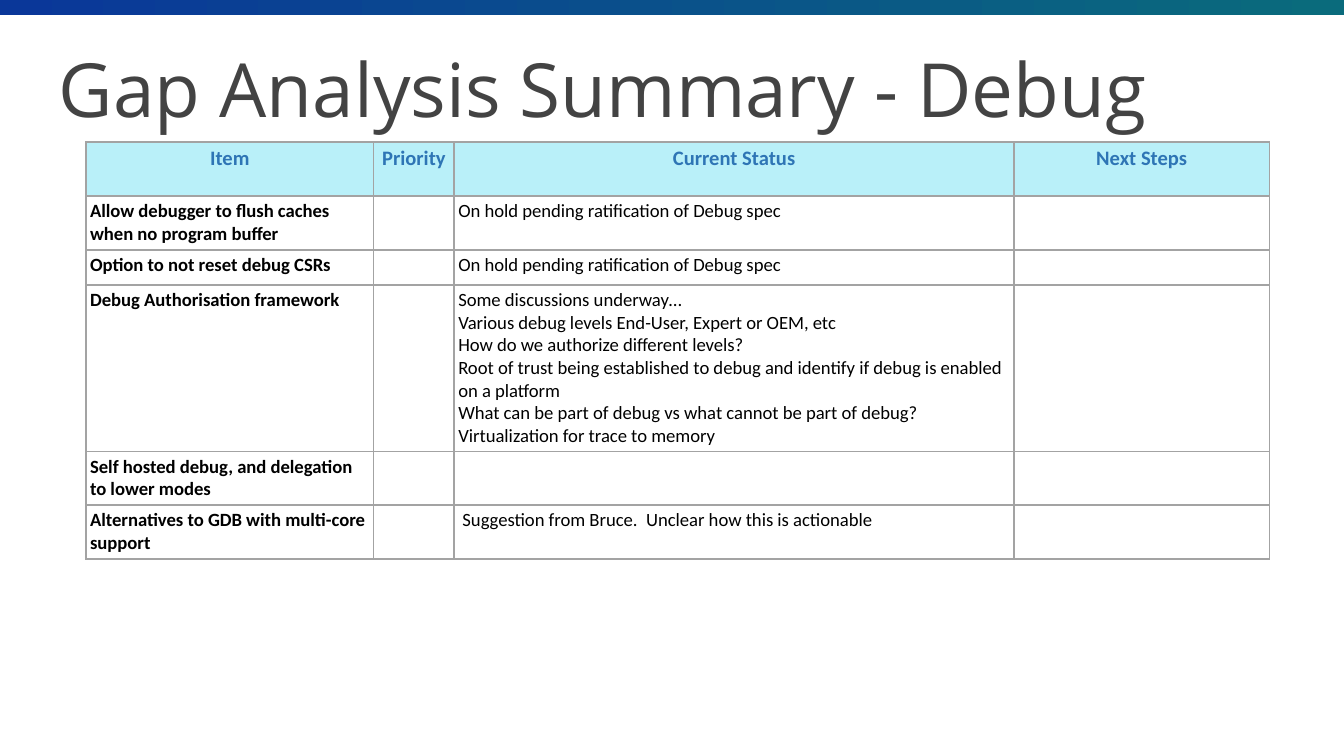
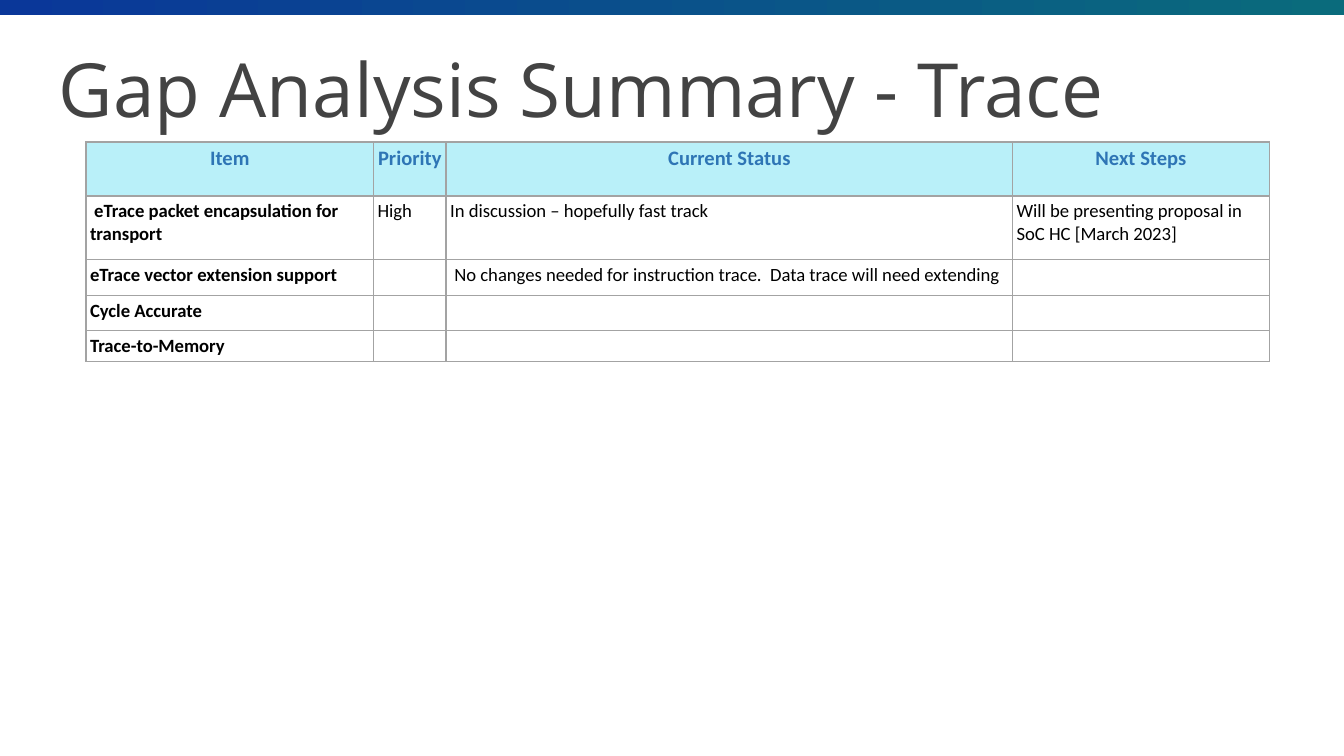
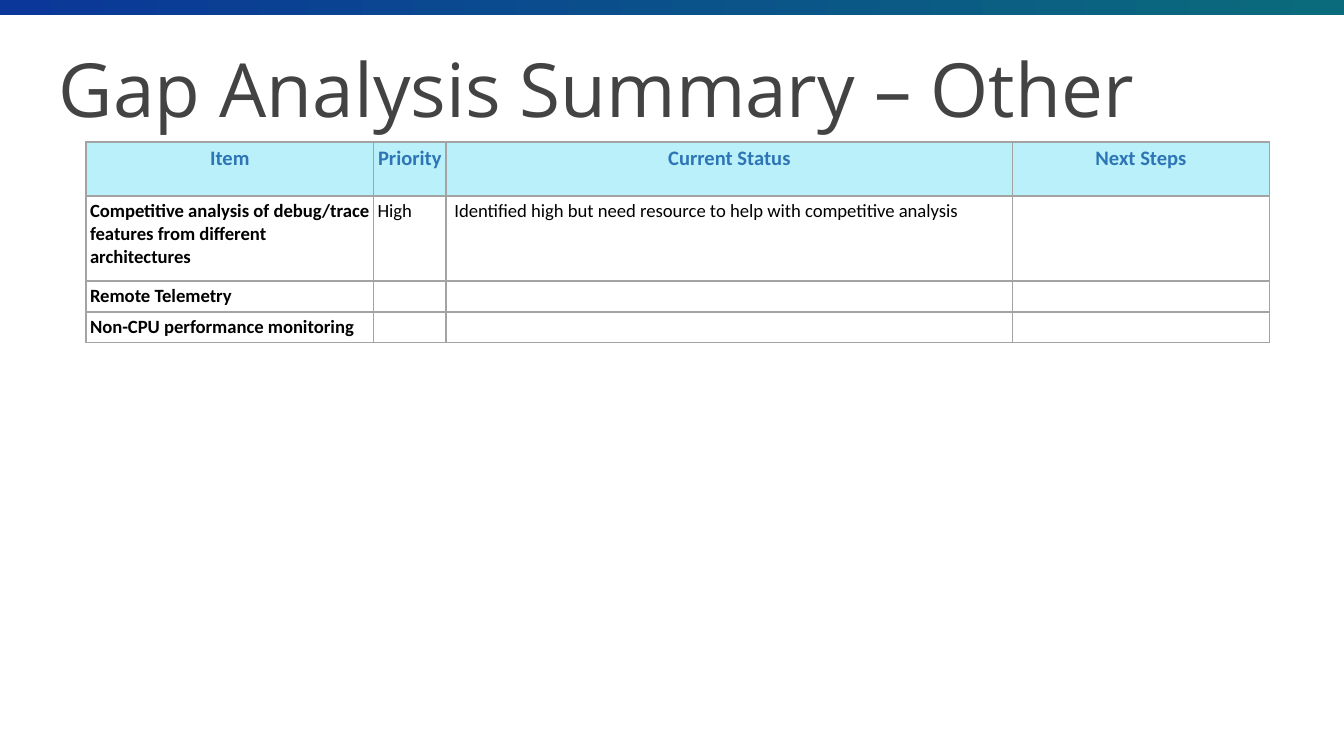
import pptx
import pptx.dml.color
import pptx.enum.shapes
import pptx.enum.text
import pptx.oxml
import pptx.oxml.ns
import pptx.util

# The grid: one column and one row are each a tenth of an inch
COLUMNS, ROWS = 100, 56.25

HEADINGS = ["Item", "Priority", "Current Status", "Next Steps"]
HEADING_HEIGHT = 4.05
WIDE_PRIORITY = [21.4, 6, 41.65, 19]
NARROW_PRIORITY = [21.4, 5.4, 42.15, 19.1]


def grid(count):
    return pptx.util.Inches(count / 10)


def color(value):
    return pptx.dml.color.RGBColor.from_string(value)


class GapDeck:
    """Holds the shared style and the slide being built."""

    BAND_COLORS = ["0A3799", "0A6B7C"]
    TITLE_COLOR = "434343"
    HEADING_COLOR, HEADING_FILL = "2E75B5", "B9F0F9"
    TEXT_COLOR, BORDER_COLOR = "000000", "A3A3A3"
    TITLE_FONT, TABLE_FONT = "Open Sans", "Calibri"
    TITLE_SIZE, HEADING_SIZE, TEXT_SIZE = 40, 11, 10

    def __init__(self):
        self.deck = pptx.Presentation()
        self.deck.slide_width = grid(COLUMNS)
        self.deck.slide_height = grid(ROWS)
        self.page = None

    def add_page(self, title):
        self.page = self.deck.slides.add_slide(self.deck.slide_layouts[6])
        self.add_band()
        self.add_title(title)

    def add_band(self):
        band = self.page.shapes.add_shape(
            pptx.enum.shapes.MSO_SHAPE.RECTANGLE, 0, 0, grid(COLUMNS), grid(1.1))
        band.shadow.inherit = False
        band.line.fill.background()
        band.fill.gradient()
        band.fill.gradient_angle = 0
        for stop, value in zip(band.fill.gradient_stops, self.BAND_COLORS):
            stop.color.rgb = color(value)

    def add_title(self, text):
        box = self.page.shapes.add_textbox(grid(3.4), grid(2.4), grid(93.2), grid(8.2))
        frame = box.text_frame
        frame.word_wrap = True
        frame.vertical_anchor = pptx.enum.text.MSO_ANCHOR.MIDDLE
        frame.margin_left = frame.margin_right = grid(1)
        frame.margin_top = frame.margin_bottom = grid(1)
        self.add_span(frame.paragraphs[0], text, self.TITLE_FONT,
                      self.TITLE_SIZE, self.TITLE_COLOR)

    def add_span(self, para, text, font, size, value, bold=False):
        span = para.add_run()
        span.text = text
        span.font.name = font
        span.font.size = pptx.util.Pt(size)
        span.font.bold = bold
        span.font.color.rgb = color(value)

    def add_table(self, widths, items):
        """Each item is a row height followed by the texts of its cells."""
        heights = [HEADING_HEIGHT] + [height for height, *_ in items]
        table = self.page.shapes.add_table(
            len(heights), len(widths), grid(6.4), grid(10.55),
            grid(sum(widths)), grid(sum(heights))).table
        table.first_row = table.horz_banding = False
        for column, width in zip(table.columns, widths):
            column.width = grid(width)
        for row, height in zip(table.rows, heights):
            row.height = grid(height)

        for index, heading in enumerate(HEADINGS):
            self.fill_cell(table.cell(0, index), heading, heading=True)
        for row_index, (_, *texts) in enumerate(items, start=1):
            for index in range(len(widths)):
                text = texts[index] if index < len(texts) else ""
                self.fill_cell(table.cell(row_index, index), text, bold=index == 0)

    def fill_cell(self, cell, text, heading=False, bold=False):
        cell.margin_left = cell.margin_right = grid(0.3)
        cell.margin_top = cell.margin_bottom = grid(0.3)
        self.add_borders(cell)
        if heading:
            cell.fill.solid()
            cell.fill.fore_color.rgb = color(self.HEADING_FILL)
        else:
            cell.fill.background()

        frame = cell.text_frame
        for index, line in enumerate(text.split("\n")):
            para = frame.add_paragraph() if index else frame.paragraphs[0]
            if heading:
                para.alignment = pptx.enum.text.PP_ALIGN.CENTER
                self.add_span(para, line, self.TABLE_FONT, self.HEADING_SIZE,
                              self.HEADING_COLOR, True)
            elif line:
                self.add_span(para, line, self.TABLE_FONT, self.TEXT_SIZE,
                              self.TEXT_COLOR, bold)
            else:
                # Keep an empty cell from stretching its row
                end = pptx.oxml.parse_xml(
                    f'<a:endParaRPr {pptx.oxml.ns.nsdecls("a")} '
                    f'sz="{self.TEXT_SIZE * 100}"/>')
                para._p.append(end)

    def add_borders(self, cell):
        properties = cell._tc.get_or_add_tcPr()
        for side in ("lnL", "lnR", "lnT", "lnB"):
            properties.append(pptx.oxml.parse_xml(
                f'<a:{side} {pptx.oxml.ns.nsdecls("a")} w="{pptx.util.Pt(1)}">'
                f'<a:solidFill><a:srgbClr val="{self.BORDER_COLOR}"/></a:solidFill>'
                f'</a:{side}>'))


def main():
    gaps = GapDeck()

    # Debug
    gaps.add_page("Gap Analysis Summary - Debug")
    on_hold = "On hold pending ratification of Debug spec"
    authorisation = "\n".join([
        "Some discussions underway…",
        "Various debug levels End-User, Expert or OEM, etc",
        "How do we authorize different levels?",
        "Root of trust being established to debug and identify if debug is enabled "
        "on a platform",
        "What can be part of debug vs what cannot be part of debug?",
        "Virtualization for trace to memory",
    ])
    gaps.add_table(WIDE_PRIORITY, [
        (4, "Allow debugger to flush caches when no program buffer", "", on_hold),
        (2.6, "Option to not reset debug CSRs", "", on_hold),
        (12.4, "Debug Authorisation framework", "", authorisation),
        (4, "Self hosted debug, and delegation to lower modes"),
        (4, "Alternatives to GDB with multi-core support", "",
         " Suggestion from Bruce.  Unclear how this is actionable"),
    ])

    # Trace
    gaps.add_page("Gap Analysis Summary - Trace")
    gaps.add_table(NARROW_PRIORITY, [
        (4.7, " eTrace packet encapsulation for transport", "High",
         "In discussion – hopefully fast track",
         "Will be presenting proposal in SoC HC [March 2023]"),
        (2.7, "eTrace vector extension support", "",
         " No changes needed for instruction trace.  Data trace will need extending"),
        (2.6, "Cycle Accurate"),
        (2.3, "Trace-to-Memory"),
    ])

    # Other
    gaps.add_page("Gap Analysis Summary – Other")
    gaps.add_table(NARROW_PRIORITY, [
        (6.3, "Competitive analysis of debug/trace features from different architectures",
         "High", " Identified high but need resource to help with competitive analysis"),
        (2.3, "Remote Telemetry"),
        (2.3, "Non-CPU performance monitoring"),
    ])

    gaps.deck.save("out.pptx")


if __name__ == "__main__":
    main()
